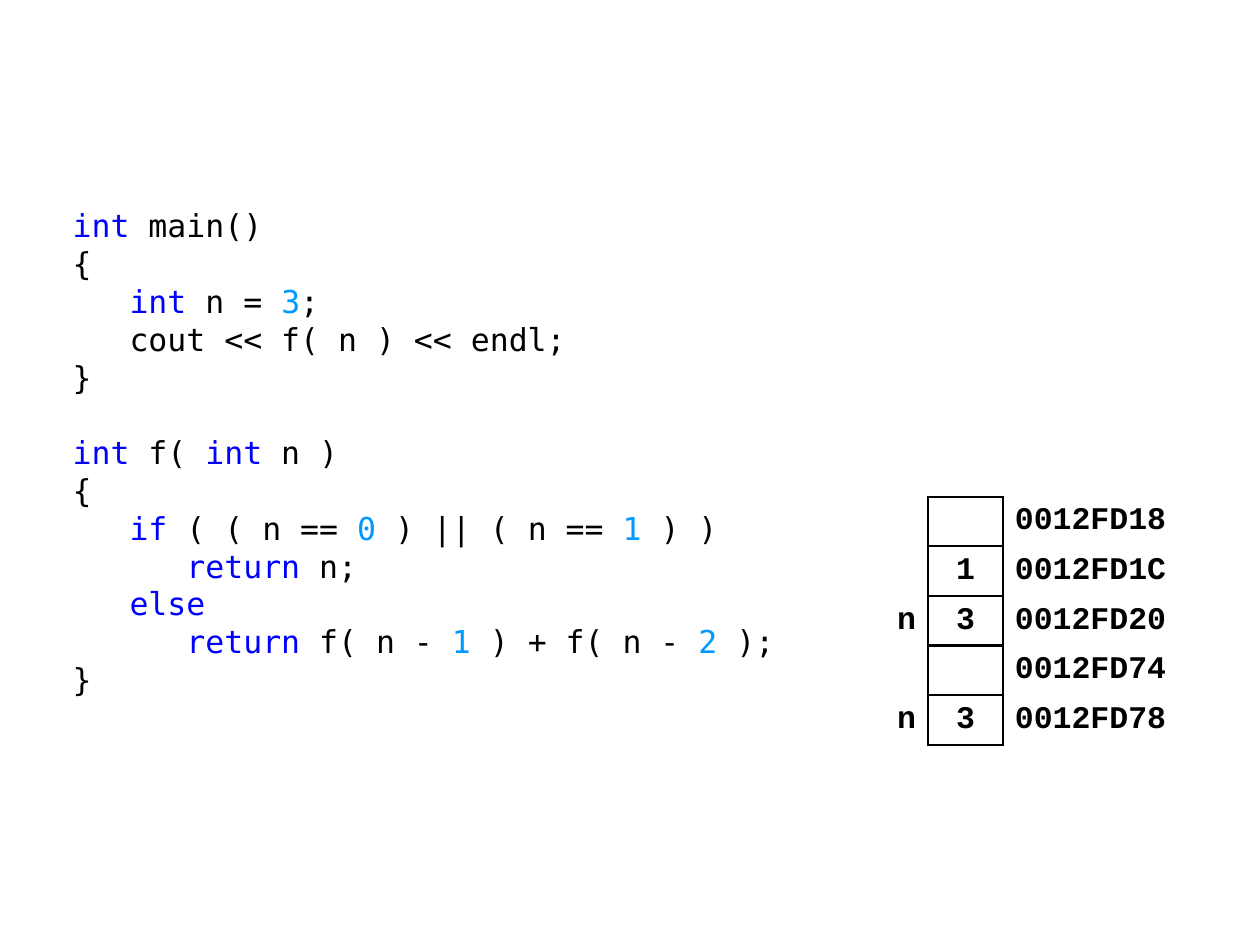
from itertools import groupby
from typing import NamedTuple

from lxml.etree import SubElement
from pptx import Presentation
from pptx.dml.color import RGBColor
from pptx.enum.text import MSO_ANCHOR, MSO_AUTO_SIZE, PP_ALIGN
from pptx.oxml import parse_xml
from pptx.oxml.ns import nsdecls, qn
from pptx.util import Pt

EMU_PER_PX = 914400 / 126
COLORS = {"plain": "000000", "keyword": "0000FF", "number": "0099FF"}
KEYWORDS = {"int", "if", "else", "return"}
CODE_SIZE, LINE_PITCH = Pt(18), Pt(21.6)
CODE_FONT, MEMORY_FONT = "DejaVu Sans Mono", "Courier New"

MAIN_CODE = """int main()
{
   int n = 3;
   cout << f( n ) << endl;
}"""
F_CODE = """int f( int n )
{
   if ( ( n == 0 ) || ( n == 1 ) )
      return n;
   else
      return f( n - 1 ) + f( n - 2 );
}"""


class MemoryCell(NamedTuple):
    name: str
    value: str
    address: str


STACK = [
    MemoryCell("", "", "0012FD18"),
    MemoryCell("", "1", "0012FD1C"),
    MemoryCell("n", "3", "0012FD20"),
    MemoryCell("", "", "0012FD74"),
    MemoryCell("n", "3", "0012FD78"),
]
ROW_COUNT = 11
FIRST_USED = ROW_COUNT - len(STACK)
COLUMN_WIDTHS = [49, 75, 174]
COLUMN_ALIGNS = [PP_ALIGN.RIGHT, PP_ALIGN.CENTER, PP_ALIGN.LEFT]
COLUMN_SIDES = ["R", "LRTB", "L"]
RIGHT_MARGINS = [12, 12, 8]


def px(length: int) -> int:
    return round(length * EMU_PER_PX)


def color_of(word: str) -> str:
    if word in KEYWORDS:
        return "keyword"
    return "number" if word.isdigit() else "plain"


def add_run(paragraph, text: str, font: str, color: str, bold: bool) -> None:
    run = paragraph.add_run()
    run.text = text
    style = {"name": font, "size": CODE_SIZE, "bold": bold}
    for attribute, value in style.items():
        setattr(run.font, attribute, value)
    run.font.color.rgb = RGBColor.from_string(COLORS[color])


def write_code_line(paragraph, line: str, gap_before: int) -> None:
    properties = paragraph._p.get_or_add_pPr()
    properties.set("marL", "0")
    properties.set("indent", "0")
    SubElement(properties, qn("a:buNone"))
    spacing = {"space_before": gap_before, "space_after": 0,
               "line_spacing": LINE_PITCH, "alignment": PP_ALIGN.LEFT}
    for attribute, value in spacing.items():
        setattr(paragraph, attribute, value)
    words = ["".join(chars) for _, chars in groupby(line, str.isalnum)]
    for color, same_color in groupby(words, color_of):
        add_run(paragraph, "".join(same_color), CODE_FONT, color, False)


def write_code(body) -> None:
    body.left, body.top, body.width, body.height = map(px, (60, 200, 745, 520))
    frame = body.text_frame
    frame.word_wrap = True
    frame.auto_size = MSO_AUTO_SIZE.NONE
    frame.vertical_anchor = MSO_ANCHOR.TOP
    paragraph = frame.paragraphs[0]
    for function_index, function in enumerate((MAIN_CODE, F_CODE)):
        for line_index, line in enumerate(function.splitlines()):
            if function_index or line_index:
                paragraph = frame.add_paragraph()
            starts_second = function_index and not line_index
            write_code_line(paragraph, line, LINE_PITCH if starts_second else 0)


def border_sides(row: int, column: int) -> str:
    if row >= FIRST_USED:
        return COLUMN_SIDES[column]
    return "B" if (row, column) == (FIRST_USED - 1, 1) else ""


def draw_borders(cell, sides: str) -> None:
    properties = cell._tc.get_or_add_tcPr()
    for index, side in enumerate(sides):
        properties.insert(index, parse_xml(
            f'<a:ln{side} {nsdecls("a")} w="{Pt(1.5)}"><a:solidFill>'
            f'<a:srgbClr val="{COLORS["plain"]}"/></a:solidFill></a:ln{side}>'))


def format_cell(cell, text: str, row: int, column: int) -> None:
    layout = {"margin_left": px(12), "margin_right": px(RIGHT_MARGINS[column]),
              "margin_top": px(5), "margin_bottom": px(5),
              "vertical_anchor": MSO_ANCHOR.MIDDLE}
    for attribute, value in layout.items():
        setattr(cell, attribute, value)
    cell.fill.background()
    draw_borders(cell, border_sides(row, column))
    paragraph = cell.text_frame.paragraphs[0]
    paragraph.alignment = COLUMN_ALIGNS[column]
    if text:
        add_run(paragraph, text, MEMORY_FONT, "plain", True)
    else:
        # An empty cell would otherwise grow to the default text height.
        SubElement(paragraph._p, qn("a:endParaRPr")).set("sz", "1800")


def draw_memory(slide) -> None:
    frame = slide.shapes.add_table(ROW_COUNT, len(COLUMN_WIDTHS), px(879), px(199),
                                   px(sum(COLUMN_WIDTHS)), px(546))
    table = frame.table
    table.first_row = table.horz_banding = False
    no_style = "{2D5ABB26-0587-4C30-8999-92F81FD0307C}"
    table._tbl.tblPr.find(qn("a:tableStyleId")).text = no_style
    for column, width in zip(table.columns, COLUMN_WIDTHS):
        column.width = px(width)
    memory = [MemoryCell("", "", "")] * FIRST_USED + STACK
    for row, memory_cell in enumerate(memory):
        for column, text in enumerate(memory_cell):
            format_cell(table.cell(row, column), text, row, column)


def main() -> None:
    presentation = Presentation()
    presentation.slide_width, presentation.slide_height = px(1260), px(945)
    slide = presentation.slides.add_slide(presentation.slide_layouts[1])
    title = slide.shapes.title.element
    title.getparent().remove(title)
    write_code(slide.placeholders[1])
    draw_memory(slide)
    presentation.save("out.pptx")


if __name__ == "__main__":
    main()
